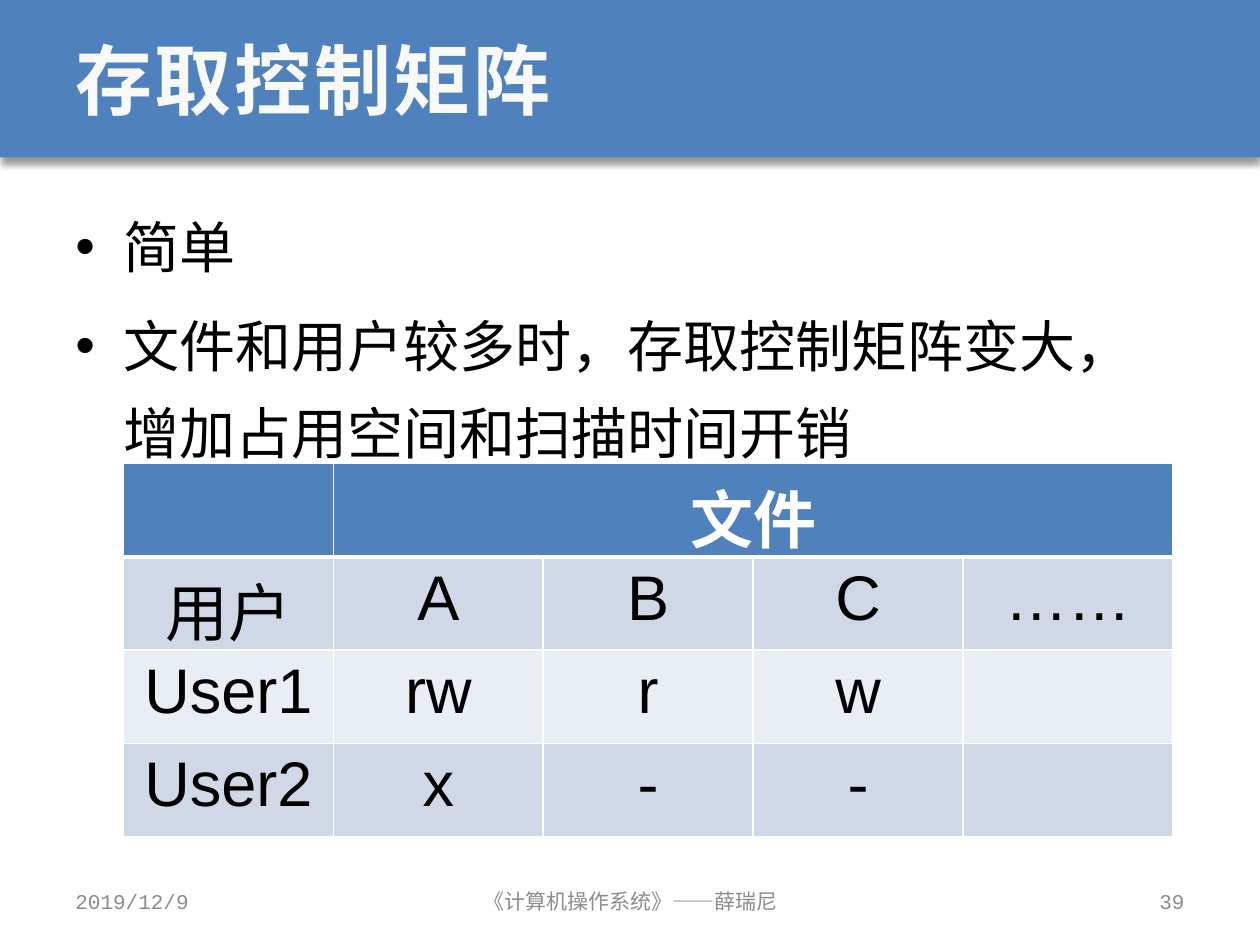
from dataclasses import dataclass
from typing import Optional

import lxml.etree
import pptx
import pptx.dml.color
import pptx.enum.shapes
import pptx.enum.text
import pptx.oxml
import pptx.oxml.ns
import pptx.util

Inches = pptx.util.Inches
Pt = pptx.util.Pt
Align = pptx.enum.text.PP_ALIGN
Anchor = pptx.enum.text.MSO_ANCHOR
qn = pptx.oxml.ns.qn


@dataclass(frozen=True)
class Theme:
    blue: str = "4F81BD"
    white: str = "FFFFFF"
    title_text: str = "F8F8F8"
    black: str = "000000"
    footer_text: str = "8C8C8C"
    band_dark: str = "D0D8E8"
    band_light: str = "E9EDF4"
    slide_font: str = "Courier New"
    table_font: str = "Arial"
    title_size: int = 44
    body_size: int = 32
    table_size: int = 36
    footer_size: int = 12


THEME = Theme()


@dataclass(frozen=True)
class Style:
    size: int
    color: str
    font: str = THEME.slide_font
    bold: bool = False
    spacing: float = 0


@dataclass(frozen=True)
class Box:
    left: float
    top: float
    width: float
    height: float

    def emu(self) -> tuple:
        return tuple(map(Inches, (self.left, self.top, self.width, self.height)))


@dataclass(frozen=True)
class Footer:
    text: str
    box: Box
    align: Align


TITLE = Style(THEME.title_size, THEME.title_text, bold=True, spacing=1.5)
BODY = Style(THEME.body_size, THEME.black)
FOOTER = Style(THEME.footer_size, THEME.footer_text)
HEADER_CELL = Style(THEME.table_size, THEME.white, THEME.table_font, bold=True)
BODY_CELL = Style(THEME.table_size, THEME.black, THEME.table_font)

POINTS = ["简单", "文件和用户较多时，存取控制矩阵变大，增加占用空间和扫描时间开销"]
MATRIX = [
    ["", "文件", "", "", ""],
    ["用户", "A", "B", "C", "……"],
    ["User1", "rw", "r", "w", ""],
    ["User2", "x", "-", "-", ""],
]
FOOTERS = [
    Footer("2019/12/9", Box(0.5, 6.95, 2.33, 0.4), Align.LEFT),
    Footer("《计算机操作系统》——薛瑞尼", Box(3.42, 6.95, 3.17, 0.4), Align.CENTER),
    Footer("39", Box(7.17, 6.95, 2.33, 0.4), Align.RIGHT),
]


def rgb(color: str) -> pptx.dml.color.RGBColor:
    return pptx.dml.color.RGBColor.from_string(color)


def add_run(paragraph, text: str, style: Style) -> None:
    run = paragraph.add_run()
    run.text = text
    run.font.name = style.font
    run.font.size = Pt(style.size)
    run.font.bold = style.bold
    run.font.color.rgb = rgb(style.color)
    if style.spacing:
        run.font._element.set("spc", str(round(style.spacing * 100)))


def add_frame(slide, box: Box, anchor: Anchor):
    frame = slide.shapes.add_textbox(*box.emu()).text_frame
    frame.word_wrap = True
    frame.vertical_anchor = anchor
    return frame


def add_line(slide, text: str, box: Box, style: Style, align: Align) -> None:
    paragraph = add_frame(slide, box, Anchor.MIDDLE).paragraphs[0]
    paragraph.alignment = align
    add_run(paragraph, text, style)


def add_band(slide, box: Box) -> None:
    band = slide.shapes.add_shape(pptx.enum.shapes.MSO_SHAPE.RECTANGLE, *box.emu())
    band.fill.solid()
    band.fill.fore_color.rgb = rgb(THEME.blue)
    band.line.fill.background()
    band.shadow.inherit = False
    # Soft shadow straight below the band
    effects = band._element.spPr.find(qn("a:effectLst"))
    shadow = lxml.etree.SubElement(
        effects, qn("a:outerShdw"), blurRad=str(Pt(4)), dist=str(Pt(3)),
        dir="5400000", algn="t", rotWithShape="0")
    color = lxml.etree.SubElement(shadow, qn("a:srgbClr"), val=THEME.black)
    lxml.etree.SubElement(color, qn("a:alpha"), val="40000")


def add_bullets(slide, points: list[str], box: Box) -> None:
    frame = add_frame(slide, box, Anchor.TOP)
    for index, point in enumerate(points):
        paragraph = frame.add_paragraph() if index else frame.paragraphs[0]
        properties = paragraph._p.get_or_add_pPr()
        properties.set("marL", str(Inches(0.38)))
        properties.set("indent", str(Inches(-0.38)))
        lxml.etree.SubElement(properties, qn("a:buFont"), typeface=THEME.table_font)
        lxml.etree.SubElement(properties, qn("a:buChar"), char="•")
        paragraph.line_spacing = 1.3
        if index:
            paragraph.space_before = Pt(0.2 * BODY.size)
        add_run(paragraph, point, BODY)


def set_borders(cell, bottom: Optional[float] = None, top: Optional[float] = None) -> None:
    properties = cell._tc.get_or_add_tcPr()
    widths = {"a:lnL": 1, "a:lnR": 1, "a:lnT": top or 1, "a:lnB": bottom or 1}
    for position, (tag, width) in enumerate(widths.items()):
        line = lxml.etree.Element(qn(tag), w=str(Pt(width)))
        fill = lxml.etree.SubElement(line, qn("a:solidFill"))
        lxml.etree.SubElement(fill, qn("a:srgbClr"), val=THEME.white)
        properties.insert(position, line)


def add_matrix(slide, rows: list[list[str]], box: Box) -> None:
    table = slide.shapes.add_table(len(rows), len(rows[0]), *box.emu()).table
    for column in table.columns:
        column.width = Inches(box.width / len(rows[0]))
    for row in table.rows:
        row.height = Inches(box.height / len(rows))
    table.cell(0, 1).merge(table.cell(0, len(rows[0]) - 1))

    for r, texts in enumerate(rows):
        if r == 0:
            fill, style = THEME.blue, HEADER_CELL
        else:
            fill, style = (THEME.band_dark if r % 2 else THEME.band_light), BODY_CELL
        for c, text in enumerate(texts):
            cell = table.cell(r, c)
            cell.fill.solid()
            cell.fill.fore_color.rgb = rgb(fill)
            set_borders(cell, bottom=3 if r == 0 else None, top=3 if r == 1 else None)
            if text:
                paragraph = cell.text_frame.paragraphs[0]
                paragraph.alignment = Align.CENTER
                add_run(paragraph, text, style)


def main() -> None:
    deck = pptx.Presentation()
    deck.slide_width, deck.slide_height = Inches(10), Inches(7.5)
    slide = deck.slides.add_slide(deck.slide_layouts[6])

    # Title band
    add_band(slide, Box(0, 0, 10, 1.25))
    add_line(slide, "存取控制矩阵", Box(0.5, 0, 9, 1.25), TITLE, Align.LEFT)

    # Points and access matrix
    add_bullets(slide, POINTS, Box(0.5, 1.48, 9, 5.33))
    add_matrix(slide, MATRIX, Box(0.98, 3.68, 8.33, 2.96))

    # Footer
    for footer in FOOTERS:
        add_line(slide, footer.text, footer.box, FOOTER, footer.align)

    deck.save("out.pptx")


if __name__ == "__main__":
    main()
